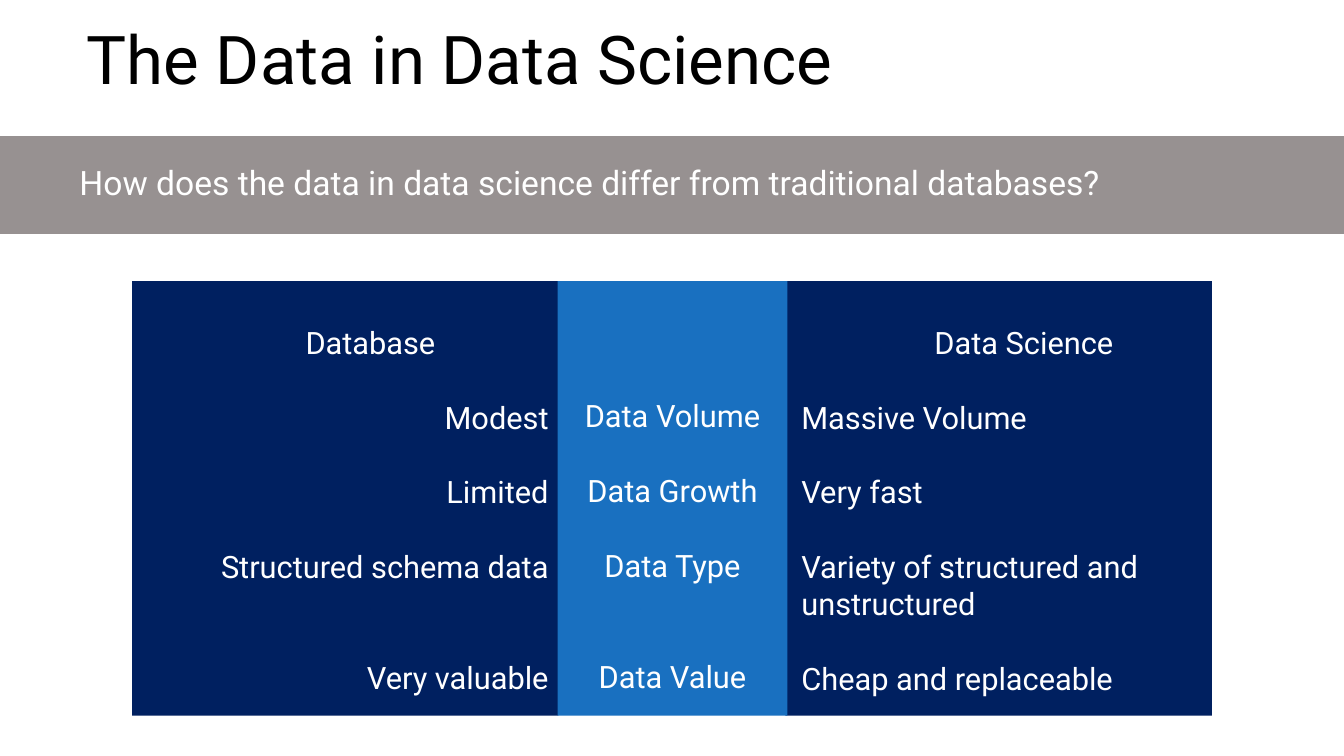
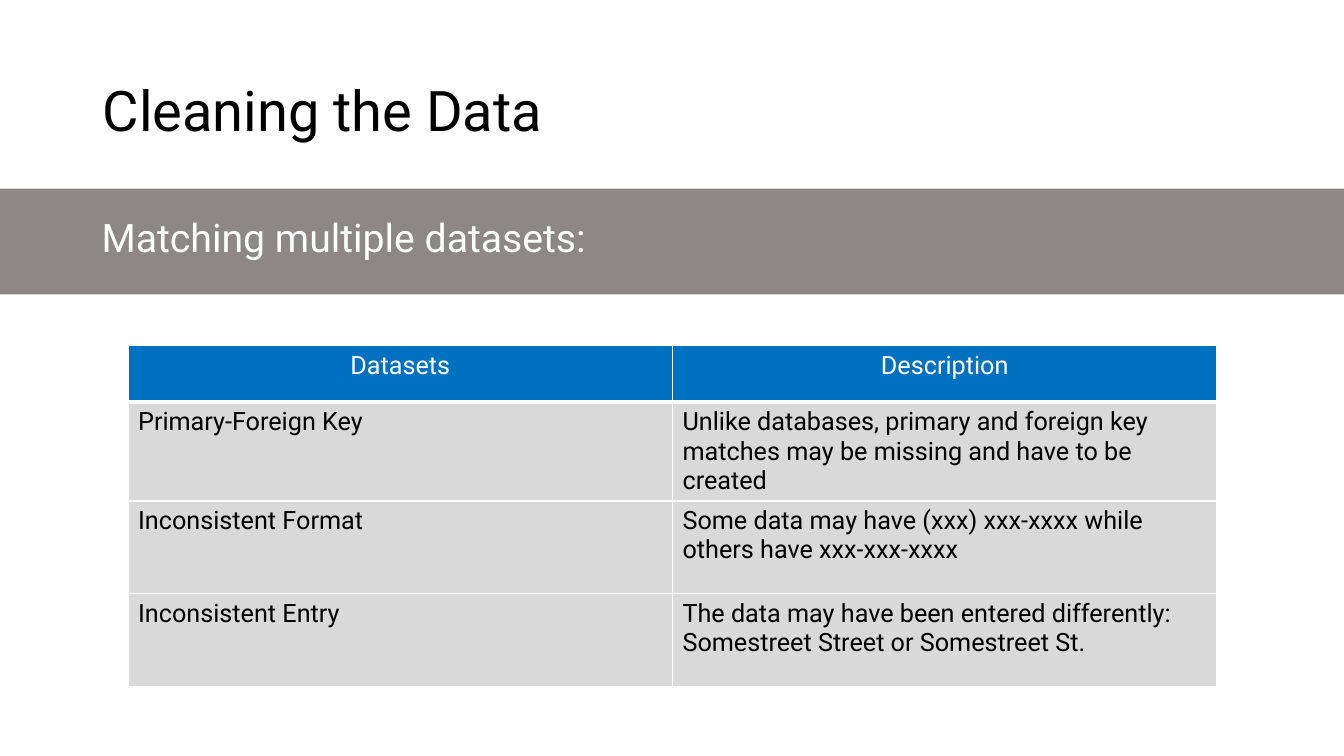
from lxml import etree
from pptx import Presentation
from pptx.dml.color import RGBColor
from pptx.enum.shapes import MSO_SHAPE
from pptx.enum.text import MSO_ANCHOR, MSO_AUTO_SIZE, PP_ALIGN
from pptx.oxml.ns import qn
from pptx.util import Emu, Pt

RECT = MSO_SHAPE.RECTANGLE
TOP, MIDDLE = MSO_ANCHOR.TOP, MSO_ANCHOR.MIDDLE
NO_FIT = MSO_AUTO_SIZE.NONE
LEFT, CENTER, RIGHT = PP_ALIGN.LEFT, PP_ALIGN.CENTER, PP_ALIGN.RIGHT
TITLE_ONLY = 5
EMU_PER_PX = 9144


def px(n):
    """Turn px, 100 to the inch, into EMU."""
    return Emu(n * EMU_PER_PX)


def rgb(value):
    """Turn a hex string into a colour."""
    return RGBColor.from_string(value)


class Deck:
    """Holds the shared style and the current slide."""

    FONT = "Roboto"
    BLACK, WHITE = "000000", "FFFFFF"
    NAVY, BLUE = "002060", "1970C0"
    HEADER, CELL = "0070C0", "D9D9D9"
    PANEL_SIZE, PANEL_GAP, TABLE_SIZE = 22, 27, 18

    def __init__(self):
        """Start an empty widescreen presentation."""
        self.prs = Presentation()
        self.prs.slide_width, self.prs.slide_height = px(1333), px(750)
        self.s = None

    def style(self, p, size, color, align=LEFT):
        """Format a paragraph and its runs."""
        p.alignment = align
        for r in p.runs:
            r.font.name = self.FONT
            r.font.size = Pt(size)
            r.font.color.rgb = rgb(color)

    def slide(self, title, box, size):
        """Add a slide with its title."""
        self.s = self.prs.slides.add_slide(self.prs.slide_layouts[TITLE_ONLY])
        sp = self.s.shapes.title
        sp.left, sp.top, sp.width, sp.height = map(px, box)
        self.heading(sp.text_frame, title, size, self.BLACK)

    def heading(self, tf, text, size, color):
        """Write one tight line, centred vertically."""
        tf.text = text
        tf.word_wrap = True
        tf.auto_size = NO_FIT
        tf.vertical_anchor = MIDDLE
        tf.paragraphs[0].line_spacing = 0.9
        self.style(tf.paragraphs[0], size, color)

    def rect(self, box, fill):
        """Add a plain filled rectangle."""
        sp = self.s.shapes.add_shape(RECT, *map(px, box))
        sp.shadow.inherit = False
        sp.fill.solid()
        sp.fill.fore_color.rgb = rgb(fill)
        sp.line.fill.background()
        return sp

    def band(self, top, height, fill, text, box, size):
        """Add a full-width band and the subtitle on it."""
        self.rect((0, top, 1333, height), fill)
        tf = self.s.shapes.add_textbox(*map(px, box)).text_frame
        self.heading(tf, text, size, self.WHITE)
        tf.paragraphs[0].space_before = Pt(10)

    def panel(self, box, fill, top, lines, last_gap=PANEL_GAP):
        """Add a panel of spaced lines, each (text, alignment, indent)."""
        tf = self.rect(box, fill).text_frame
        tf.text = "\n".join(text for text, _, _ in lines)
        tf.word_wrap = True
        tf.vertical_anchor = TOP
        tf.margin_top = px(top)
        for p, (_, align, indent) in zip(tf.paragraphs, lines):
            self.style(p, self.PANEL_SIZE, self.WHITE, align)
            p._p.get_or_add_pPr().set("marL", str(px(indent)))
        for p in tf.paragraphs[1:]:
            p.space_before = Pt(self.PANEL_GAP)
        tf.paragraphs[-1].space_before = Pt(last_gap)

    def border(self, cell, side, width):
        """Draw one white cell border."""
        ln = etree.SubElement(cell._tc.get_or_add_tcPr(), qn("a:ln" + side), w=str(Pt(width)))
        fill = etree.SubElement(ln, qn("a:solidFill"))
        etree.SubElement(fill, qn("a:srgbClr"), val=self.WHITE)

    def table(self, box, heights, rows):
        """Add a table with a coloured header row."""
        frame = self.s.shapes.add_table(len(rows), len(rows[0]), *map(px, box))
        for i, (height, row) in enumerate(zip(heights, rows)):
            frame.table.rows[i].height = px(height)
            fill, color, align = (self.CELL, self.BLACK, LEFT) if i else (self.HEADER, self.WHITE, CENTER)
            widths = {"L": 1, "R": 1, "T": 3 if i == 1 else 1, "B": 1 if i else 3}
            for j, text in enumerate(row):
                cell = frame.table.cell(i, j)
                for side, width in widths.items():
                    self.border(cell, side, width)
                cell.fill.solid()
                cell.fill.fore_color.rgb = rgb(fill)
                cell.text_frame.text = text
                for p in cell.text_frame.paragraphs:
                    self.style(p, self.TABLE_SIZE, color, align)
                    for r in p.runs:
                        r.font.bold = False


def comparison(deck):
    """Build the slide comparing databases with data science."""
    deck.slide("The Data in Data Science", (76, -3, 1158, 130), 48)
    deck.band(135, 97, "979191", "How does the data in data science differ from traditional databases?",
              (69, 135, 1264, 97), 24)
    database = ["Modest", "Limited", "Structured schema data", "Very valuable"]
    science = ["Massive Volume", "Very fast", "Variety of structured and unstructured", "Cheap and replaceable"]
    aspects = ["Data Volume", "Data Growth", "Data Type", "Data Value"]
    deck.panel((131, 279, 423, 431), deck.NAVY, 42,
               [("Database", CENTER, 50)] + [(t, RIGHT, 50) for t in database], 53)
    deck.panel((779, 279, 423, 431), deck.NAVY, 42,
               [("Data Science", CENTER, 50)] + [(t, LEFT, 6) for t in science])
    deck.panel((553, 279, 228, 431), deck.BLUE, 115, [(t, CENTER, 0) for t in aspects], 53)


def cleaning(deck):
    """Build the slide on matching datasets."""
    deck.slide("Cleaning the Data", (92, 40, 1150, 145), 40)
    deck.band(187, 105, "8D8787", "Matching multiple datasets:", (91, 168, 1091, 139), 28)
    deck.table((127, 343, 1080, 332), (56, 92, 92, 92), [
        ("Datasets", "Description"),
        ("Primary-Foreign Key",
         "Unlike databases, primary and foreign key matches may be missing and have to be created"),
        ("Inconsistent Format", "Some data may have (xxx) xxx-xxxx while others have xxx-xxx-xxxx"),
        ("Inconsistent Entry",
         "The data may have been entered differently:\nSomestreet Street or Somestreet St."),
    ])


def main():
    """Build and save the deck."""
    deck = Deck()
    comparison(deck)
    cleaning(deck)
    deck.prs.save("out.pptx")


if __name__ == "__main__":
    main()
